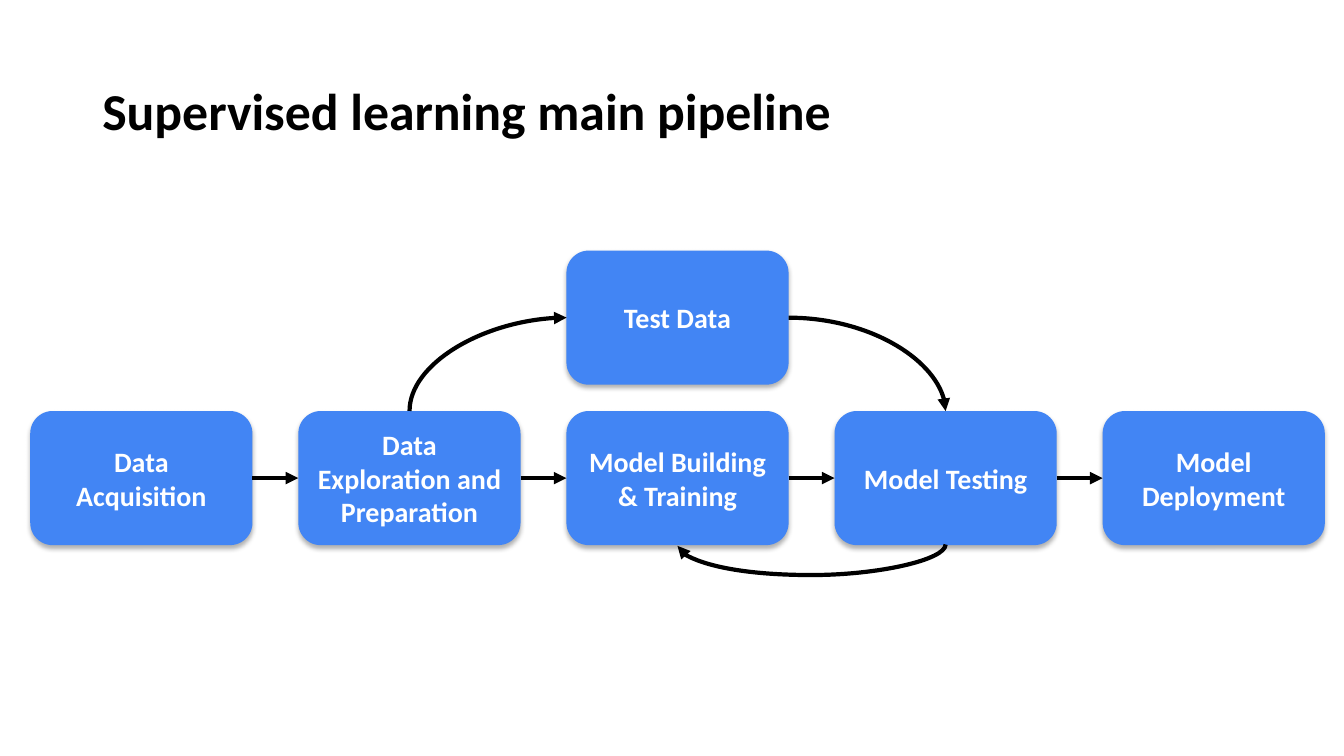
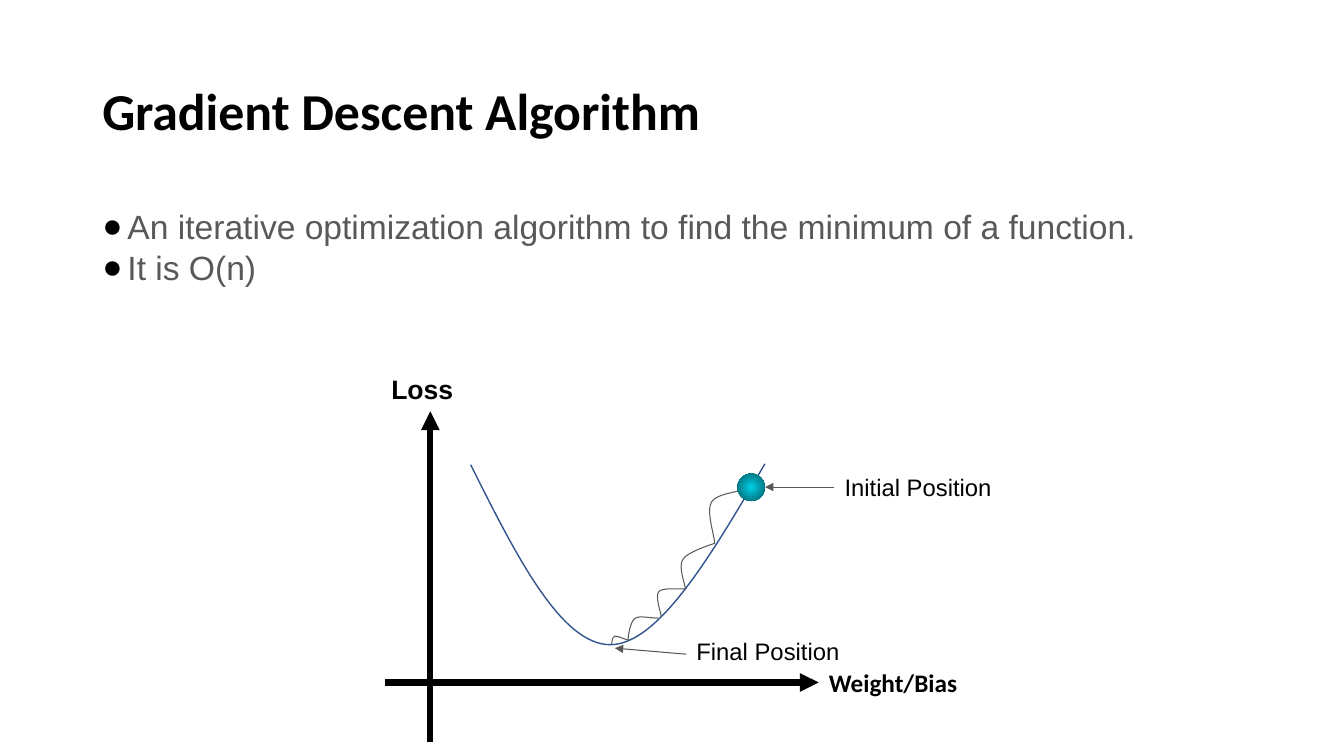
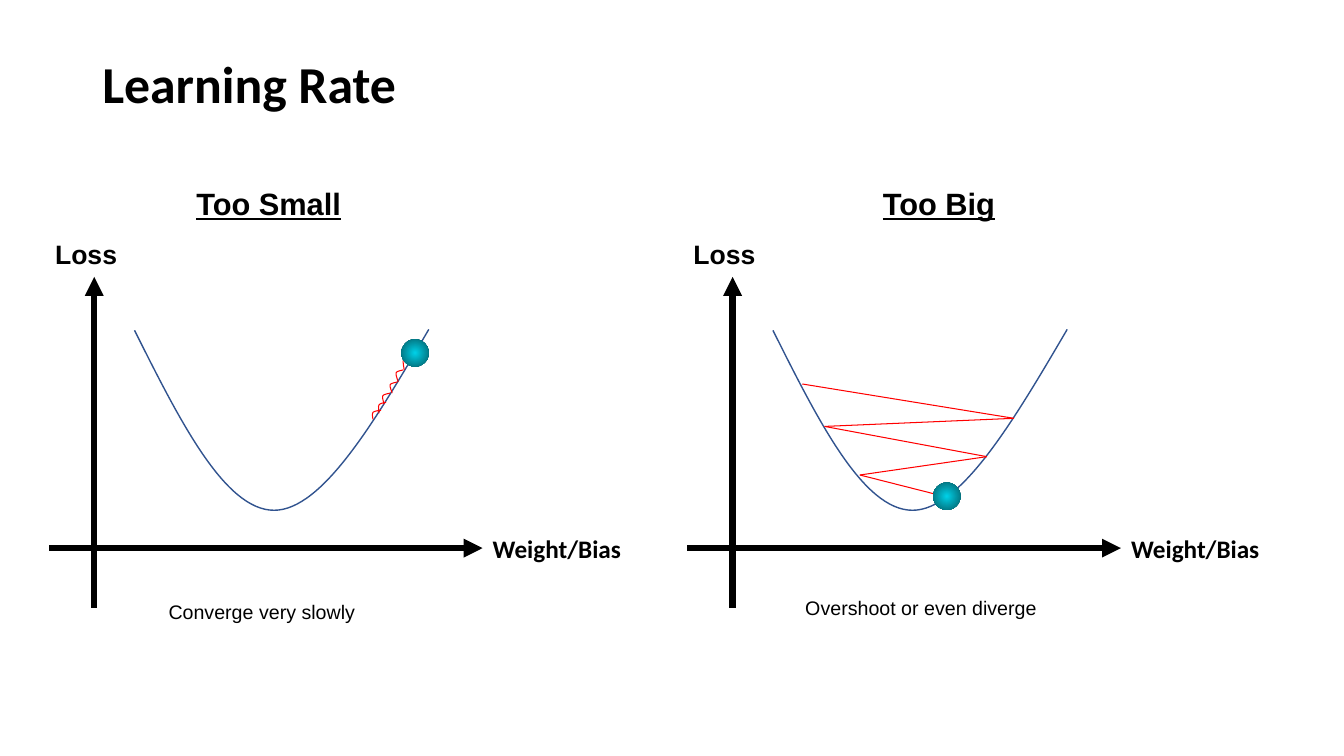
"""Build three slides on supervised learning and gradient descent."""
import itertools

import lxml.etree
import pptx
import pptx.dml.color
import pptx.enum.dml
import pptx.enum.shapes
import pptx.enum.text
import pptx.oxml.ns
import pptx.util

Pt = pptx.util.Pt
qn = pptx.oxml.ns.qn
sub = lxml.etree.SubElement
RGB = pptx.dml.color.RGBColor.from_string
SHAPE = pptx.enum.shapes.MSO_SHAPE
LINK = pptx.enum.shapes.MSO_CONNECTOR
ANCHOR = pptx.enum.text.MSO_ANCHOR
ALIGN = pptx.enum.text.PP_ALIGN

COLORS = {"ink": "000000", "white": "FFFFFF", "box": "4285F4", "gray": "595959",
          "curve": "31538F", "red": "FF0000", "glow": "00D2E9", "rim": "045962"}
FONTS = {
    "title": {"name": "Calibri", "size": Pt(37), "bold": True},
    "box": {"name": "Calibri", "size": Pt(20), "bold": True},
    "body": {"name": "Arial", "size": Pt(24)},
    "loss": {"name": "Arial", "size": Pt(19), "bold": True},
    "weight": {"name": "Calibri", "size": Pt(18), "bold": True},
    "heading": {"name": "Arial", "size": Pt(22), "bold": True, "underline": True},
    "label": {"name": "Arial", "size": Pt(17)},
    "caption": {"name": "Arial", "size": Pt(14)},
}


def write(sp, lines, style, color="ink", pad=3.6, anchor=ANCHOR.TOP, bullet=False, **para):
    tf = sp.text_frame
    frame = {"word_wrap": True, "vertical_anchor": anchor, "margin_left": Pt(7.2),
             "margin_right": Pt(7.2), "margin_top": Pt(pad), "margin_bottom": Pt(pad)}
    for key, value in frame.items():
        setattr(tf, key, value)
    for i, line in enumerate(lines):
        p = tf.add_paragraph() if i else tf.paragraphs[0]
        for key, value in para.items():
            setattr(p, key, value)
        if bullet:
            pPr = p._p.get_or_add_pPr()
            pPr.set("marL", str(Pt(18)))
            pPr.set("indent", str(-Pt(18)))
            sub(sub(pPr, qn("a:buClr")), qn("a:srgbClr"), val=COLORS["ink"])
            sub(pPr, qn("a:buFont"), typeface="Arial")
            sub(pPr, qn("a:buChar"), char="●")
        r = p.add_run()
        r.text = line
        for key, value in FONTS[style].items():
            setattr(r.font, key, value)
        r.font.color.rgb = RGB(COLORS[color])


def stroke(sp, color, width, arrow=False):
    sp.line.color.rgb = RGB(COLORS[color])
    sp.line.width = Pt(width)
    spPr = sp._element.spPr
    if arrow:
        sub(spPr.find(qn("a:ln")), qn("a:tailEnd"), type="triangle")
    sub(spPr, qn("a:effectLst"))


prs = pptx.Presentation()
prs.slide_width, prs.slide_height = Pt(960), Pt(540)

slides = []
for title, top in [("Supervised learning main pipeline", 28.7),
                   ("Gradient Descent Algorithm", 28.7), ("Learning Rate", 9.8)]:
    s = prs.slides.add_slide(prs.slide_layouts[6])
    sp = s.shapes.add_textbox(Pt(66), Pt(top), Pt(828), Pt(104.4))
    write(sp, [title], "title", anchor=ANCHOR.MIDDLE, line_spacing=0.9)
    slides.append(s)
pipeline, descent, rate = slides

BOX_W, BOX_H, ROW_X, ROW_Y, PITCH = 158.7, 95.8, 21.6, 293.6, 191.5
stages = ["Data Acquisition", "Data Exploration and Preparation",
          "Model Building & Training", "Model Testing", "Model Deployment"]
places = [(name, ROW_X + PITCH * i, ROW_Y) for i, name in enumerate(stages)]
places.append(("Test Data", ROW_X + PITCH * 2, 179))
boxes = []
for name, x, y in places:
    sp = pipeline.shapes.add_shape(SHAPE.ROUNDED_RECTANGLE, Pt(x), Pt(y), Pt(BOX_W), Pt(BOX_H))
    sp.fill.solid()
    sp.fill.fore_color.rgb = RGB(COLORS["box"])
    sp.line.fill.background()
    sp.shadow.inherit = False
    effects = sp._element.spPr.find(qn("a:effectLst"))
    shadow = sub(effects, qn("a:outerShdw"), blurRad=str(Pt(3.5)), dist=str(Pt(2.2)),
                 dir="5400000", algn="t", rotWithShape="0")
    sub(sub(shadow, qn("a:srgbClr"), val=COLORS["ink"]), qn("a:alpha"), val="31000")
    write(sp, [name], "box", "white", anchor=ANCHOR.MIDDLE, alignment=ALIGN.CENTER)
    boxes.append(sp)
explore, build, testing, test_data = boxes[1], boxes[2], boxes[3], boxes[5]

for begin, end in itertools.pairwise(boxes[:5]):
    c = pipeline.shapes.add_connector(LINK.STRAIGHT, 0, 0, 0, 0)
    c.begin_connect(begin, 3)
    c.end_connect(end, 1)
    stroke(c, "ink", 3, True)

for begin, out, end, into, frame, turn, preset in [
        (explore, 0, test_data, 1, (315.3, 204.1, 66.7, 112.2), 270, "curvedConnector2"),
        (test_data, 3, testing, 0, (563.3, 226.9, 112.2, 66.7), 0, "curvedConnector2"),
        (testing, 2, build, 2, (579.2, 293.65, 1, PITCH), 90, "curvedConnector3")]:
    c = pipeline.shapes.add_connector(LINK.CURVE, 0, 0, 0, 0)
    c.begin_connect(begin, out)
    c.end_connect(end, into)
    for key, value in zip(("left", "top", "width", "height"), frame):
        setattr(c, key, Pt(value))
    spPr = c._element.spPr
    for key, value in {"rot": str(turn * 60000), "flipH": "0", "flipV": "0"}.items():
        spPr.find(qn("a:xfrm")).set(key, value)
    geom = spPr.find(qn("a:prstGeom"))
    geom.set("prst", preset)
    if preset == "curvedConnector3":
        sub(geom.find(qn("a:avLst")), qn("a:gd"), name="adj1", fmla="val 2200000")
    stroke(c, "ink", 3, True)

sp = descent.shapes.add_textbox(Pt(66), Pt(143.8), Pt(828), Pt(79.2))
write(sp, ["An iterative optimization algorithm to find the minimum of a function.",
           "It is O(n)"], "body", "gray", bullet=True)

VALLEY = [(28.8, -155.5), (60.9, -91.4), (93.2, -27), (128.5, -27),
          (163.1, -27), (201, -91.4), (239, -156.2)]
STEP = [(1, 0), (0.83, 0.04), (0.06, 0.08), (-0.09, 0.24), (-0.26, 0.41), (0, 0.87), (0, 1)]
BALL = 19.6
plots = [
    {"slide": descent, "origin": (307.4, 487.5), "ball": (219.4, -149.2), "color": "gray",
     "steps": [(535, 349.2, 510.5, 388.1, 0, 0), (510.5, 388.1, 489.6, 421.2, 0, 0.11),
               (490.3, 420.5, 472.3, 440.6, 0, -0.14), (470.2, 441.4, 448.6, 457.2, 0.32, -0.22),
               (449.3, 457.2, 437, 460.1, 0.27, -1.2)],
     "zigzag": []},
    {"slide": rate, "origin": (67.3, 391.5), "ball": (219.4, -149.2), "color": "red",
     "steps": [(293.8, 254.2, 288.7, 264.2, 0, 0), (288, 264.2, 284.4, 272.9, -0.3, 0),
               (283.7, 272.9, 280.1, 280.8, -0.3, 0), (278.6, 280.8, 274.3, 288.7, -0.1, 0),
               (275.8, 287.3, 270.7, 295.2, 0.1, 0), (272.2, 293, 266.4, 299.5, 0.1, 0)],
     "zigzag": []},
    {"slide": rate, "origin": (523.3, 391.5), "ball": (143.2, -46.8), "color": "red",
     "steps": [],
     "zigzag": [(676.1, 355), (614.2, 339.3), (704.9, 326.2), (589, 304.6),
                (724.3, 298.8), (573.1, 274.3)]},
]
for plot in plots:
    s, (ox, oy), color = plot["slide"], plot["origin"], plot["color"]
    for x1, y1, x2, y2 in [(0, 42.5, 0, -193.7), (-32.2, 0, 277.4, 0)]:
        c = s.shapes.add_connector(LINK.STRAIGHT, Pt(ox + x1), Pt(oy + y1),
                                   Pt(ox + x2), Pt(oy + y2))
        stroke(c, "ink", 4.5, True)
    for name, style, x, y, w in [("Loss", "loss", -35, -224.8, 69.8),
                                 ("Weight/Bias", "weight", 277.5, -14.4, 137.5)]:
        sp = s.shapes.add_textbox(Pt(ox + x), Pt(oy + y), Pt(w), Pt(28.8))
        write(sp, [name], style)

    curves = [([(ox + x, oy + y) for x, y in VALLEY], "curve", 1)]
    for x1, y1, x2, y2, lean, drop in plot["steps"]:
        knots = [(x2 + (x1 - x2) * (u + lean * (2 <= i <= 4)),
                  y1 + (y2 - y1) * (v + drop * (2 <= i <= 4))) for i, (u, v) in enumerate(STEP)]
        curves.append((knots, color, 0.75))
    for knots, shade, width in curves:
        points = [(Pt(x), Pt(y)) for x, y in knots]
        outline = s.shapes.build_freeform(*points[0])
        outline.add_line_segments(points[1:], close=False)
        sp = outline.convert_to_shape()
        segments = list(sp._element.iter(qn("a:lnTo")))
        route = segments[0].getparent()
        for i in (0, 3):
            bend = sub(route, qn("a:cubicBezTo"))
            for segment in segments[i:i + 3]:
                bend.append(segment[0])
                route.remove(segment)
        sp.fill.background()
        stroke(sp, shade, width)

    for begin, end in itertools.pairwise(plot["zigzag"]):
        c = s.shapes.add_connector(LINK.STRAIGHT, *map(Pt, begin + end))
        stroke(c, color, 0.75)

    x, y = plot["ball"]
    sp = s.shapes.add_shape(SHAPE.OVAL, Pt(ox + x), Pt(oy + y), Pt(BALL), Pt(BALL))
    sp.fill.gradient()
    for stop, position, shade in zip(sp.fill.gradient_stops, (0, 1), ("glow", "rim")):
        stop.position = position
        stop.color.rgb = RGB(COLORS[shade])
    grad = sp._element.spPr.find(qn("a:gradFill"))
    grad.remove(grad.find(qn("a:lin")))
    sub(sub(grad, qn("a:path"), path="circle"), qn("a:fillToRect"),
        {side: "50000" for side in "ltrb"})
    sp.line.fill.background()
    sp.shadow.inherit = False

for x1, y1, x2, y2 in [(596, 347.9, 546.5, 347.9), (490.3, 467.3, 439.2, 463)]:
    c = descent.shapes.add_connector(LINK.STRAIGHT, Pt(x1), Pt(y1), Pt(x2), Pt(y2))
    stroke(c, "gray", 0.75, True)

for s, name, style, x, y, w, h, anchor in [
        (descent, "Initial Position", "label", 596.2, 330.5, 137.5, 35.3, ANCHOR.TOP),
        (descent, "Final Position", "label", 490.3, 447.8, 137.5, 35.3, ANCHOR.TOP),
        (rate, "Too Small", "heading", 133.2, 124.6, 154.1, 41, ANCHOR.MIDDLE),
        (rate, "Too Big", "heading", 623.5, 124.6, 103.7, 41, ANCHOR.MIDDLE),
        (rate, "Converge very slowly", "caption", 113.3, 421.2, 154.1, 31.7, ANCHOR.TOP),
        (rate, "Overshoot or even diverge", "caption", 568.1, 418.3, 200.2, 31.7, ANCHOR.TOP)]:
    sp = s.shapes.add_textbox(Pt(x), Pt(y), Pt(w), Pt(h))
    write(sp, [name], style, pad=7.2, anchor=anchor)

prs.save("out.pptx")
